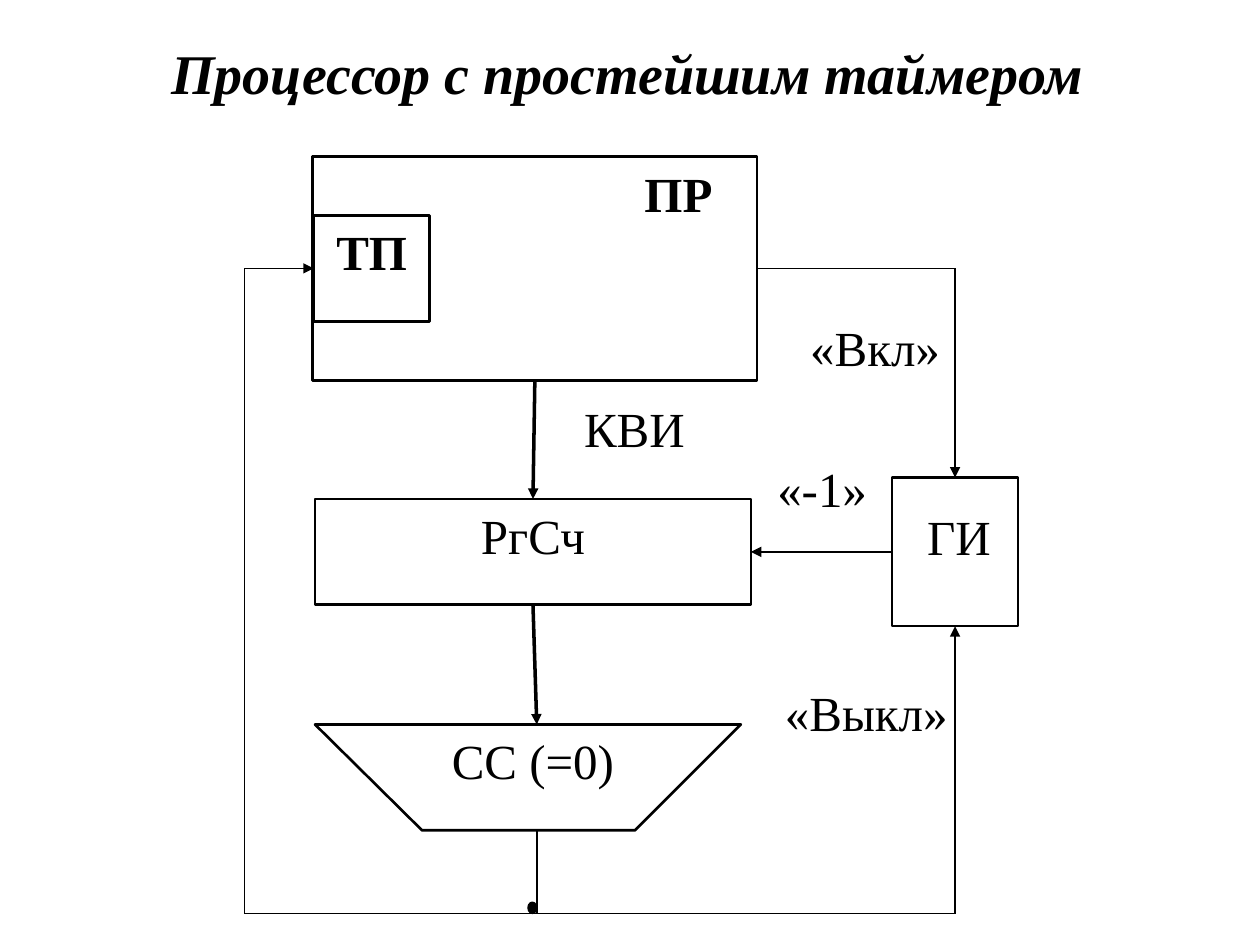
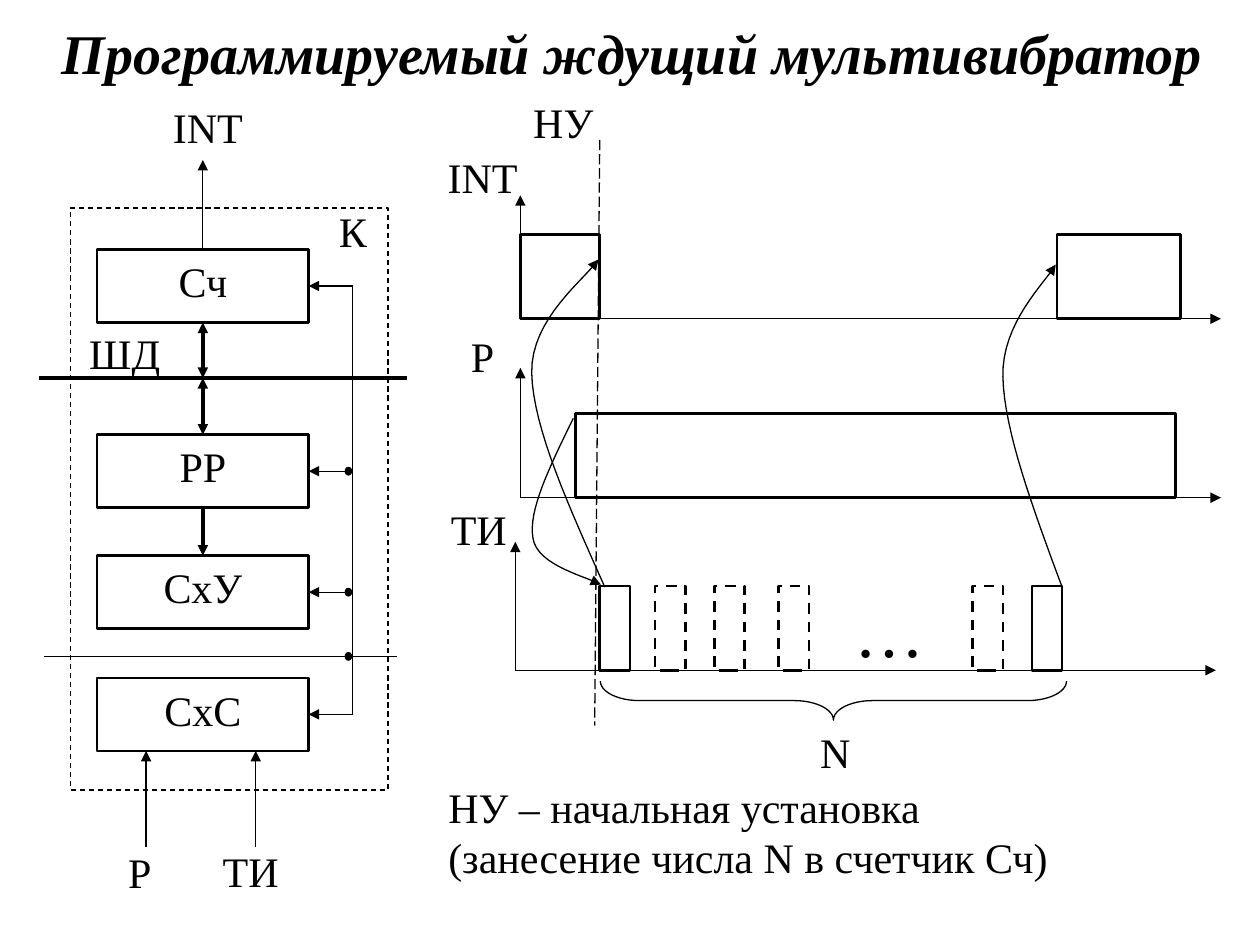
from lxml.etree import SubElement
from pptx import Presentation
from pptx.dml.color import RGBColor
from pptx.enum.dml import MSO_LINE_DASH_STYLE as Dash
from pptx.enum.shapes import MSO_CONNECTOR as Connector, MSO_SHAPE as Shape
from pptx.enum.text import MSO_ANCHOR as Anchor, MSO_AUTO_SIZE as AutoSize, PP_ALIGN as Align
from pptx.oxml.ns import qn
from pptx.util import Inches, Pt

COLUMNS, ROWS = 100, 75
TITLE_ONLY = 5
TOP, LEFT, BOTTOM, RIGHT = range(4)
INK, PAPER = "000000", "FFFFFF"
THIN, MEDIUM, FRAME, BUS = 0.75, 1, 1.5, 2
TITLE_FONT = {"size": Pt(32), "bold": True, "italic": True}


def color(code):
    return RGBColor.from_string(code)


def apply(target, values):
    for name, value in values.items():
        setattr(target, name, value)


class Board:
    """Draws black-and-white schematics on a grid of 100 columns by 75 rows."""

    def __init__(self, presentation):
        self.presentation = presentation
        self.column = presentation.slide_width / COLUMNS
        self.row = presentation.slide_height / ROWS
        self.slide = None
        self.text_size = 24

    def place(self, x, y):
        return round(x * self.column), round(y * self.row)

    def frame(self, x, y, width, height):
        return *self.place(x, y), *self.place(width, height)

    def new_slide(self, title, area, text_size):
        layout = self.presentation.slide_layouts[TITLE_ONLY]
        self.slide = self.presentation.slides.add_slide(layout)
        self.text_size = text_size
        shape = self.slide.shapes.title
        apply(shape, dict(zip(("left", "top", "width", "height"), self.frame(*area))))
        self.fill_text(shape, title, Align.CENTER, Anchor.MIDDLE, TITLE_FONT)

    def fill_text(self, shape, text, align=Align.CENTER, anchor=Anchor.TOP, font=None):
        text_frame = shape.text_frame
        apply(text_frame, {
            "word_wrap": True, "auto_size": AutoSize.NONE, "vertical_anchor": anchor,
            "margin_left": Inches(0.1), "margin_right": Inches(0.1),
            "margin_top": Inches(0.05), "margin_bottom": Inches(0.05)})
        paragraph = text_frame.paragraphs[0]
        paragraph.text = text
        paragraph.alignment = align
        style = {"name": "Times New Roman", "size": Pt(self.text_size), **(font or {})}
        for run in paragraph.runs:
            apply(run.font, style)
            run.font.color.rgb = color(INK)

    def label(self, text, area, align=Align.CENTER, **font):
        shape = self.slide.shapes.add_textbox(*self.frame(*area))
        self.fill_text(shape, text, align, font=font)

    def pen(self, line, weight, dash=None):
        line.color.rgb = color(INK)
        apply(line, {"width": Pt(weight), "dash_style": dash})

    def finish(self, shape, fill, weight, dash=None):
        shape.shadow.inherit = False
        if fill:
            shape.fill.solid()
            shape.fill.fore_color.rgb = color(fill)
        else:
            shape.fill.background()
        self.pen(shape.line, weight, dash)
        return shape

    def box(self, area, text="", weight=FRAME, dash=None, **font):
        shape = self.slide.shapes.add_shape(Shape.RECTANGLE, *self.frame(*area))
        if text:
            self.fill_text(shape, text, font=font)
        return self.finish(shape, None, weight, dash)

    def dot(self, area):
        shape = self.slide.shapes.add_shape(Shape.OVAL, *self.frame(*area))
        self.finish(shape, INK, THIN)

    def brace(self, area):
        shape = self.slide.shapes.add_shape(Shape.LEFT_BRACE, *self.frame(*area))
        shape.rotation = 270
        shape.adjustments[0] = 1
        self.finish(shape, None, THIN)

    def arrowheads(self, shape, ends):
        line_element = shape._element.spPr.find(qn("a:ln"))
        for end in ends:
            SubElement(line_element, qn(f"a:{end}"), type="triangle")

    def wire(self, start, end, weight=THIN, ends=(), dash=None):
        joined = [not isinstance(point[0], (int, float)) for point in (start, end)]
        spots = [(0, 0) if is_joined else self.place(*point)
                 for point, is_joined in zip((start, end), joined)]
        connector = self.slide.shapes.add_connector(Connector.STRAIGHT, *spots[0], *spots[1])
        if joined[0]:
            connector.begin_connect(*start)
        if joined[1]:
            connector.end_connect(*end)
        self.pen(connector.line, weight, dash)
        self.arrowheads(connector, ends)
        SubElement(connector._element.spPr, qn("a:effectLst"))

    def arrow(self, start, end, weight=THIN):
        self.wire(start, end, weight, ["tailEnd"])

    def outline(self, points, fill=None, weight=THIN, close=False):
        spots = [self.place(*point) for point in points]
        builder = self.slide.shapes.build_freeform(*spots[0])
        builder.add_line_segments(spots[1:], close=close)
        return self.finish(builder.convert_to_shape(), fill, weight)

    def curved_arrow(self, start, *pieces, steps=16):
        points = [start]
        for piece in pieces:
            controls = [points[-1], *piece]
            for step in range(1, steps + 1):
                t = step / steps
                weights = ((1 - t) ** 3, 3 * t * (1 - t) ** 2, 3 * t * t * (1 - t), t ** 3)
                points.append(tuple(sum(w * control[axis] for w, control in zip(weights, controls))
                                    for axis in (0, 1)))
        self.arrowheads(self.outline(points), ["tailEnd"])

    def axes(self, x, y, top, length=55.6):
        self.arrow((x, y), (x + length, y))
        self.arrow((x, y), (x, top))


def draw_timer(board):
    board.new_slide("Процессор с простейшим таймером", (1.2, 2.5, 97.2, 6.4), 28)
    processor = board.box((24.8, 12.4, 35.3, 17.8))
    interrupt = board.box((24.9, 17.1, 9.2, 8.4), "ТП", bold=True)
    counter = board.box((25, 39.6, 34.6, 8.4), "РгСч")
    generator = board.box((70.8, 37.9, 10, 11.8))
    board.outline([(25, 57.5), (33.5, 65.9), (50.4, 65.9), (58.8, 57.5)], PAPER, FRAME, close=True)

    board.label("ПР", (47.5, 12.5, 12.7, 10.3), bold=True)
    for text, area in (
            ("«-1»", (58.9, 35.9, 12.7, 7.6)), ("КВИ", (44, 31.1, 12.7, 7.6)),
            ("СС (=0)", (33.5, 57.5, 17.6, 7.6)), ("ГИ", (71.5, 39.7, 9.2, 7.6)),
            ("«Вкл»", (61.7, 24.7, 15.5, 8.5)), ("«Выкл»", (61, 53.7, 15.5, 8.5))):
        board.label(text, area)

    left, middle, right = 19.4, 42.6, 75.8
    upper, lower = 21.3, 72.5
    board.arrow((processor, BOTTOM), (counter, TOP), BUS)
    board.arrow((counter, BOTTOM), (middle, 57.5), BUS)
    board.arrow((generator, LEFT), (counter, RIGHT), MEDIUM)
    board.wire((processor, RIGHT), (right, upper), MEDIUM)
    board.arrow((right, upper), (generator, TOP), MEDIUM)
    board.wire((middle, 65.9), (middle, lower), MEDIUM)
    board.wire((left, lower), (right, lower), MEDIUM)
    board.arrow((right, lower), (generator, BOTTOM), MEDIUM)
    board.wire((left, upper), (left, lower), MEDIUM)
    board.arrow((left, upper), (interrupt, LEFT), MEDIUM)
    board.dot((41.9, 71.6, 0.7, 0.9))


def draw_block_diagram(board):
    block_tops = {"Сч": 19.8, "РР": 34.5, "СхУ": 44.1, "СхС": 53.8}
    blocks = {text: board.box((7.7, top, 16.8, 5.8), text) for text, top in block_tops.items()}
    board.box((5.6, 16.5, 25.2, 46.2), weight=THIN, dash=Dash.DASH)

    center, data_bus, control = 16.1, 30, 28
    both = ["headEnd", "tailEnd"]
    board.wire((3.1, data_bus), (32.3, data_bus), BUS)
    board.wire((blocks["Сч"], BOTTOM), (center, data_bus), BUS, both)
    board.wire((center, data_bus), (blocks["РР"], TOP), BUS, both)
    board.arrow((blocks["РР"], BOTTOM), (blocks["СхУ"], TOP), BUS)
    board.arrow((blocks["Сч"], TOP), (center, 12.7))
    board.wire((control, 22.7), (control, 56.7))
    board.wire((3.5, 52.1), (31.5, 52.1))
    for text, block in blocks.items():
        board.arrow((control, block_tops[text] + 2.9), (block, RIGHT))
    for y in (37.1, 46.7, 51.8):
        board.dot((27.4, y, 0.5, 0.6))
    for x in (11.6, 20.3):
        board.arrow((x, 67.2), (x, 59.6))


def draw_timing(board):
    board.axes(41.3, 25.3, 15.5)
    board.axes(41.3, 39.5, 29.2)
    board.axes(40.9, 53.2, 43)
    for x, y, width in ((41.3, 18.6, 6.3), (83.9, 18.6, 9.8), (45.7, 32.8, 47.6)):
        board.box((x, y, width, 6.7))
    for x in (47.6, 81.9):
        board.box((x, 46.5, 2.4, 6.7))
    for x in (52, 56.7, 61.8, 77.2):
        board.box((x, 46.5, 2.4, 6.7), dash=Dash.DASH)
    board.brace((64.6, 37.1, 3.1, 37))
    board.wire((47.6, 11.1), (47.2, 57.6), dash=Dash.LONG_DASH)
    board.curved_arrow((84.3, 46.6), [(82, 40.4), (79.7, 34.2), (79.6, 29.9)],
                       [(79.5, 25.6), (83, 22.4), (83.8, 21)])
    board.curved_arrow((48, 46.6), [(45.2, 40.3), (42.3, 34), (42.2, 29.6)],
                       [(42.1, 25.3), (46.5, 22.1), (47.5, 20.6)])
    board.curved_arrow((45.5, 33.2), [(43.7, 36.9), (41.9, 40.5), (42.3, 42.7)],
                       [(42.6, 44.9), (46.7, 45.8), (47.7, 46.4)])


def draw_multivibrator(board):
    board.new_slide("Программируемый ждущий мультивибратор", (0.8, 0.8, 98.8, 6.7), 24)
    draw_block_diagram(board)
    draw_timing(board)
    for text, x, y in (
            ("ШД", 5, 25.5), ("INT", 11.6, 7.6), ("К", 23.1, 15.8), ("P", 6.2, 66.7),
            ("ТИ", 15, 66.6), ("INT", 33.4, 11.5), ("Р", 33.4, 25.7), ("ТИ", 33.1, 39.5),
            ("N", 61.4, 57.2), ("НУ", 39.8, 7.2)):
        board.label(text, (x, y, 9.8, 5.2))
    board.label("…", (65.7, 46.1, 9.8, 7.9), size=Pt(40))
    board.label("НУ – начальная установка\n(занесение числа N в счетчик Сч)",
                (34.6, 61.5, 58.7, 10.6), Align.LEFT)


def main():
    presentation = Presentation()
    apply(presentation, {"slide_width": Inches(10), "slide_height": Inches(7.5)})
    board = Board(presentation)
    draw_timer(board)
    draw_multivibrator(board)
    presentation.save("out.pptx")


if __name__ == "__main__":
    main()
